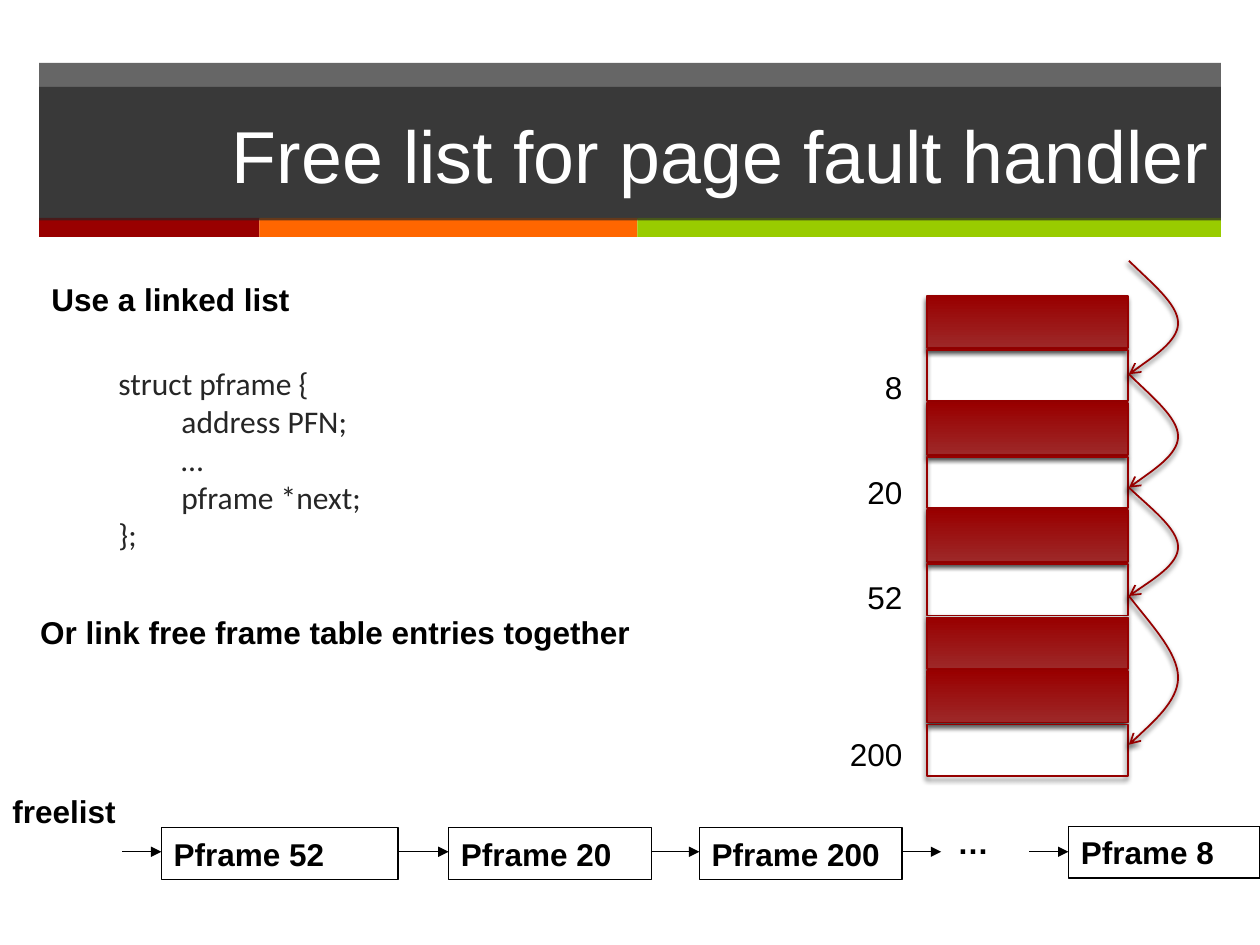
from dataclasses import dataclass

from lxml import etree
from pptx import Presentation
from pptx import util as u
from pptx.dml.color import RGBColor
from pptx.enum import shapes, text
from pptx.oxml.ns import qn

BLACK = RGBColor(0x00, 0x00, 0x00)
WHITE = RGBColor(0xFF, 0xFF, 0xFF)
CHARCOAL = RGBColor(0x26, 0x26, 0x26)
RED = RGBColor(0x99, 0x00, 0x00)
LIGHT_RED = RGBColor(0x9D, 0x28, 0x28)
OUTLINE_RED = RGBColor(0x96, 0x00, 0x00)
ORANGE = RGBColor(0xFF, 0x66, 0x00)
GREEN = RGBColor(0x99, 0xCC, 0x00)

# The slide is a grid of 100 columns by 75 rows
CELL = u.Inches(0.1)


def grid(*cells: float) -> list[int]:
    return [round(n * CELL) for n in cells]


@dataclass
class ListNode:
    label: str
    left: float
    width: float
    arrow_start: float
    top: float = 65.7


@dataclass
class Caption:
    label: str
    left: float
    top: float
    width: float


NODES = [
    ListNode("Pframe 52", 12.8, 18.8, 9.7),
    ListNode("Pframe 20", 35.6, 16.1, 31.6),
    ListNode("Pframe 200", 55.5, 16.1, 51.7),
    ListNode("Pframe 8", 84.8, 15.2, 81.7, top=65.6),
]
CAPTIONS = [
    Caption("Use a linked list", 3.1, 21.7, 23.6),
    Caption("Or link free frame table entries together", 2.2, 48.2, 51.5),
    Caption("freelist", 0, 62.4, 10.2),
    Caption("…", 75, 64.8, 4.5),
]
STRIPES = [(3.1, 17.5, RED), (20.6, 30, ORANGE), (50.6, 46.3, GREEN)]

FRAME_COUNT, FREE_FRAMES = 9, {1, 3, 5, 8}
FRAME_LEFT, FRAME_TOP, FRAME_PITCH = 73.6, 23.5, 4.25
FRAME_WIDTH, FRAME_HEIGHT = 15.9, 4.1
FRAME_NUMBERS = [("8", 0), ("20", 38.5), ("52", 38.5), ("200", 68)]

LINK_STOPS = [20.7, 29.7, 38.7, 47.3, 59.1]
LINK_LEFT, LINK_WIDTH = 89.6, 3.9
# Bezier points of a link, as shares of its width and height
LINK_CURVE = [(0.44, 0.19), (1, 0.38), (1, 0.55), (1, 0.71), (0, 1), (0, 1)]


def format_text(frame, size: float, color: RGBColor, bold: bool = False,
                font: str = "Arial") -> None:
    for paragraph in frame.paragraphs:
        for run in paragraph.runs:
            run.font.size, run.font.name = u.Pt(size), font
            run.font.bold, run.font.color.rgb = bold, color


def set_line(shape, color: RGBColor, width: float) -> None:
    shape.line.color.rgb = color
    shape.line.width = u.Pt(width)


def add_arrowhead(shape, kind: str) -> None:
    line = shape.element.spPr.find(qn("a:ln"))
    etree.SubElement(line, qn("a:tailEnd"), type=kind)


def add_shadow(shape) -> None:
    shape.shadow.inherit = False
    effects = shape.element.spPr.find(qn("a:effectLst"))
    shadow = etree.SubElement(
        effects, qn("a:outerShdw"), blurRad=str(u.Pt(3)), dist=str(u.Pt(2)),
        dir=str(110 * 60000), rotWithShape="0")
    color = etree.SubElement(shadow, qn("a:srgbClr"), val="000000")
    etree.SubElement(color, qn("a:alpha"), val="75000")


def fill_translucent(shape, color: RGBColor, percent: int) -> None:
    shape.fill.solid()
    shape.fill.fore_color.rgb = color
    tint = shape.element.spPr.find(qn("a:solidFill")).find(qn("a:srgbClr"))
    etree.SubElement(tint, qn("a:alpha"), val=str(percent * 1000))


def add_rectangle(slide, *cells: float):
    rectangle = slide.shapes.add_shape(shapes.MSO_SHAPE.RECTANGLE, *grid(*cells))
    rectangle.shadow.inherit = False
    rectangle.fill.background()
    rectangle.line.fill.background()
    return rectangle


def add_node(slide, node: ListNode) -> None:
    box = add_rectangle(slide, node.left, node.top, node.width, 4.1)
    set_line(box, BLACK, 0.75)
    frame = box.text_frame
    frame.text = node.label
    frame.paragraphs[0].alignment = text.PP_ALIGN.LEFT
    frame.vertical_anchor = text.MSO_ANCHOR.MIDDLE
    format_text(frame, 18, BLACK, bold=True)


def add_list_arrow(slide, start: float, end: float) -> None:
    arrow = slide.shapes.add_connector(
        shapes.MSO_CONNECTOR.STRAIGHT, *grid(start, 67.6, end, 67.6))
    set_line(arrow, BLACK, 0.75)
    add_arrowhead(arrow, "triangle")
    etree.SubElement(arrow.element.spPr, qn("a:effectLst"))


def add_caption(slide, caption: Caption) -> None:
    box = slide.shapes.add_textbox(
        *grid(caption.left, caption.top, caption.width, 4))
    box.text_frame.text = caption.label
    format_text(box.text_frame, 18, BLACK, bold=True)


def add_frame(slide, index: int) -> None:
    frame = add_rectangle(slide, FRAME_LEFT, FRAME_TOP + index * FRAME_PITCH,
                          FRAME_WIDTH, FRAME_HEIGHT)
    if index not in FREE_FRAMES:
        frame.fill.gradient()
        frame.fill.gradient_angle = 90
        for stop, color in zip(frame.fill.gradient_stops, (LIGHT_RED, RED)):
            stop.color.rgb = color
    set_line(frame, OUTLINE_RED, 1)
    add_shadow(frame)


def add_link(slide, top: float, bottom: float) -> None:
    builder = slide.shapes.build_freeform(*grid(LINK_LEFT, top))
    builder.add_line_segments(
        [grid(LINK_LEFT + x * LINK_WIDTH, top + y * (bottom - top))
         for x, y in LINK_CURVE], close=False)
    link = builder.convert_to_shape()
    # Each three straight segments become one cubic curve
    outline = next(link.element.iter(qn("a:path")))
    segments = outline.findall(qn("a:lnTo"))
    for first in range(0, len(segments), 3):
        curve = etree.SubElement(outline, qn("a:cubicBezTo"))
        for segment in segments[first:first + 3]:
            curve.append(segment[0])
            outline.remove(segment)
    link.fill.background()
    set_line(link, OUTLINE_RED, 1)
    add_arrowhead(link, "arrow")
    add_shadow(link)


def place(placeholder, *cells: float):
    (placeholder.left, placeholder.top,
     placeholder.width, placeholder.height) = grid(*cells)
    placeholder.text_frame.auto_size = text.MSO_AUTO_SIZE.NONE
    return placeholder.text_frame


def main() -> None:
    deck = Presentation()
    deck.slide_width, deck.slide_height = grid(100, 75)
    slide = deck.slides.add_slide(deck.slide_layouts[1])
    title, code = slide.placeholders

    # Title band, kept behind the title, and its stripes
    band = add_rectangle(slide, 3.1, 5, 93.8, 12.4)
    fill_translucent(band, CHARCOAL, 70)
    title.element.addprevious(band.element)
    for left, width, color in STRIPES:
        stripe = add_rectangle(slide, left, 17.3, width, 1.5)
        stripe.fill.solid()
        stripe.fill.fore_color.rgb = color
        title.element.addprevious(stripe.element)

    heading = place(title, 3.1, 6.9, 93.8, 10.6)
    fill_translucent(title, CHARCOAL, 70)
    heading.text = "Free list for page fault handler"
    heading.vertical_anchor = text.MSO_ANCHOR.MIDDLE
    heading.paragraphs[0].alignment = text.PP_ALIGN.RIGHT
    format_text(heading, 42, WHITE)

    # Structure definition
    struct = place(code, 8.4, 28.4, 41.6, 16.4)
    definition = struct.paragraphs[0]
    definition.text = "struct pframe {\v\taddress PFN;\v\t…\v\tpframe *next;\v};"
    properties = definition._p.get_or_add_pPr()
    properties.set("marL", "0")
    properties.set("indent", "0")
    etree.SubElement(properties, qn("a:buNone"))
    definition.space_before = u.Pt(0)
    format_text(struct, 18, CHARCOAL, font="Calibri")

    # Linked list along the bottom
    for node in NODES:
        add_node(slide, node)
        add_list_arrow(slide, node.arrow_start, node.left)
    add_list_arrow(slide, 71.6, 74.7)
    for caption in CAPTIONS:
        add_caption(slide, caption)

    # Physical memory with the numbers of its free frames
    for index in range(FRAME_COUNT):
        add_frame(slide, index)
    numbers = slide.shapes.add_textbox(*grid(66.2, 28.7, 6.4, 32.9)).text_frame
    numbers.word_wrap = True
    numbers.text = "\n".join(number for number, _ in FRAME_NUMBERS)
    for paragraph, (_, gap) in zip(numbers.paragraphs, FRAME_NUMBERS):
        paragraph.alignment = text.PP_ALIGN.RIGHT
        paragraph.space_before = u.Pt(gap)
    format_text(numbers, 18, BLACK)

    # Links from one free frame to the next
    for top, bottom in zip(LINK_STOPS, LINK_STOPS[1:]):
        add_link(slide, top, bottom)

    deck.save("out.pptx")


if __name__ == "__main__":
    main()
